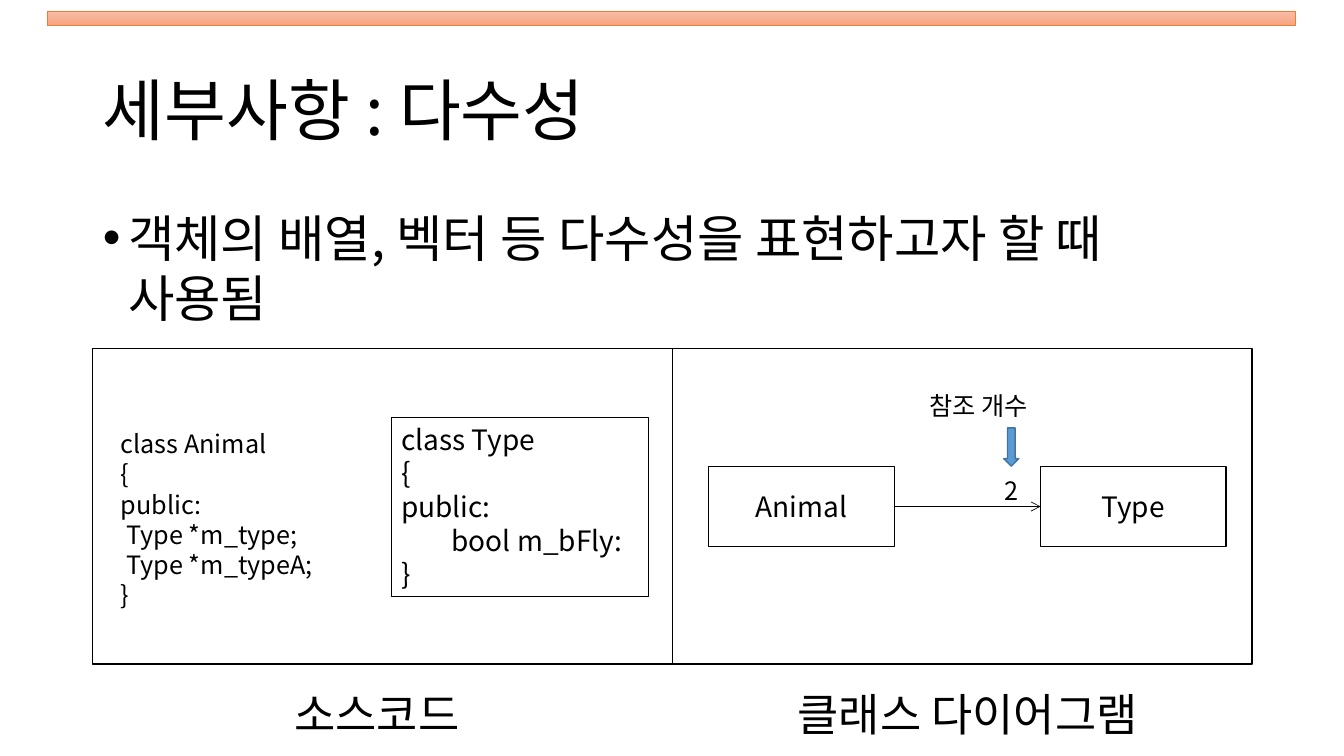
from dataclasses import dataclass

from lxml.etree import SubElement
from pptx import Presentation
from pptx.dml.color import RGBColor
from pptx.enum.shapes import MSO_CONNECTOR as CONNECTOR, MSO_SHAPE as SHAPE
from pptx.enum.text import MSO_ANCHOR as ANCHOR, MSO_AUTO_SIZE as AUTO_SIZE, PP_ALIGN as ALIGN
from pptx.oxml.ns import qn
from pptx.util import Inches, Pt


@dataclass(frozen=True)
class Theme:
    font: str = "Noto Sans CJK KR"
    black: RGBColor = RGBColor(0, 0, 0)
    white: RGBColor = RGBColor(255, 255, 255)
    orange: RGBColor = RGBColor(0xED, 0x7D, 0x31)
    bar_top: RGBColor = RGBColor(0xF7, 0xBD, 0xA5)
    bar_bottom: RGBColor = RGBColor(0xF8, 0xA5, 0x82)
    blue: RGBColor = RGBColor(0x5B, 0x9B, 0xD5)
    dark_blue: RGBColor = RGBColor(0x43, 0x73, 0x9E)
    title: int = 48
    body: int = 36
    caption: int = 32
    label: int = 20
    small: int = 18


THEME = Theme()


def place(shape, left, top, width, height):
    shape.left, shape.top = Inches(left), Inches(top)
    shape.width, shape.height = Inches(width), Inches(height)


def write(shape, text, size, align=ALIGN.LEFT, anchor=ANCHOR.TOP, auto_size=AUTO_SIZE.NONE, wrap=True):
    frame = shape.text_frame
    frame.text = text
    frame.word_wrap = wrap
    frame.auto_size = auto_size
    frame.vertical_anchor = anchor
    for paragraph in frame.paragraphs:
        paragraph.alignment = align
        for run in paragraph.runs:
            run.font.size = Pt(size)
            run.font.name = THEME.font
            run.font.color.rgb = THEME.black
            SubElement(run.font._element, qn("a:ea"), typeface=THEME.font)


def add_text(slide, box, text, size, align=ALIGN.LEFT, wrap=True):
    shape = slide.shapes.add_textbox(*map(Inches, box))
    write(shape, text, size, align, auto_size=AUTO_SIZE.SHAPE_TO_FIT_TEXT, wrap=wrap)
    return shape


def add_box(slide, box, fill=None, line=THEME.black, weight=1, kind=SHAPE.RECTANGLE):
    shape = slide.shapes.add_shape(kind, *map(Inches, box))
    shape.shadow.inherit = False
    if fill is None:
        shape.fill.background()
    else:
        shape.fill.solid()
        shape.fill.fore_color.rgb = fill
    shape.line.color.rgb = line
    shape.line.width = Pt(weight)
    return shape


def join(slide, start, start_site, end, end_site, arrow=False):
    connector = slide.shapes.add_connector(CONNECTOR.STRAIGHT, 0, 0, 0, 0)
    connector.begin_connect(start, start_site)
    connector.end_connect(end, end_site)
    connector.line.color.rgb = THEME.black
    connector.line.width = Pt(0.5)
    if arrow:
        SubElement(connector.line._get_or_add_ln(), qn("a:tailEnd"), type="arrow")
    SubElement(connector._element.spPr, qn("a:effectLst"))


def add_heading(slide, left, top, width):
    title = slide.shapes.title
    place(title, left, top, width, 1.45)
    write(title, "세부사항 : 다수성", THEME.title, anchor=ANCHOR.MIDDLE)
    title.text_frame.paragraphs[0].line_spacing = 0.9

    body = slide.placeholders[1]
    place(body, left, top + 1.6, width, 4.76)
    write(body, "객체의 배열, 벡터 등 다수성을 표현하고자 할 때 사용됨", THEME.body)
    paragraph = body.text_frame.paragraphs[0]
    paragraph.space_before = Pt(0)
    properties = paragraph._element.get_or_add_pPr()
    properties.set("marL", str(Inches(0.25)))
    properties.set("indent", str(-Inches(0.25)))
    SubElement(properties, qn("a:buFont"), typeface="Arial")
    SubElement(properties, qn("a:buChar"), char="•")


def add_top_bar(slide, box):
    bar = add_box(slide, box, line=THEME.orange, weight=0.5)
    bar.fill.gradient()
    bar.fill.gradient_angle = 270
    for stop, color, position in zip(bar.fill.gradient_stops, (THEME.bar_top, THEME.bar_bottom), (0, 1)):
        stop.color.rgb = color
        stop.position = position


def add_source_code(slide, left, top):
    animal_code = "class Animal\n{\npublic:\n Type *m_type;\n Type *m_typeA;\n}"
    add_text(slide, (left + 0.18, top + 0.74, 2.55, 1.92), animal_code, THEME.small)
    type_code = add_box(slide, (left + 2.96, top + 0.68, 2.55, 1.78), weight=0.75)
    write(type_code, "class Type\n{\npublic:\nbool m_bFly:\n}", THEME.label)
    type_code.text_frame.paragraphs[3].level = 1


def add_class_diagram(slide, left, top):
    classes = []
    for name, offset in (("Animal", 0.36), ("Type", 3.65)):
        shape = add_box(slide, (left + offset, top + 1.17, 1.84, 0.79), THEME.white)
        write(shape, name, THEME.label, ALIGN.CENTER, ANCHOR.MIDDLE)
        classes.append(shape)
    animal, type_class = classes
    join(slide, animal, 3, type_class, 1, arrow=True)
    add_text(slide, (left + 3.19, top + 1.21, 0.34, 0.4), "2", THEME.small, wrap=False)
    add_text(slide, (left + 2.45, top + 0.36, 1.82, 0.4), "참조 개수", THEME.small)
    pointer = add_box(slide, (left + 3.17, top + 0.9, 0.38, 0.15), THEME.blue,
                      THEME.dark_blue, kind=SHAPE.RIGHT_ARROW)
    pointer.rotation = 90


def add_comparison(slide, left, top, width, height):
    panel = add_box(slide, (left, top, width, height), THEME.white)
    middle = left + width / 2
    for caption, caption_left in (("소스코드", left + 0.79), ("클래스 다이어그램", middle + 0.9)):
        add_text(slide, (caption_left, top + height + 0.17, 4.06, 0.64), caption,
                 THEME.caption, ALIGN.CENTER)
    join(slide, panel, 0, panel, 2)
    add_source_code(slide, left, top)
    add_class_diagram(slide, middle, top)


def main():
    presentation = Presentation()
    presentation.slide_width, presentation.slide_height = Inches(13.33), Inches(7.5)
    slide = presentation.slides.add_slide(presentation.slide_layouts[1])
    add_heading(slide, 0.92, 0.4, 11.5)
    add_top_bar(slide, (0.47, 0.11, 12.38, 0.14))
    add_comparison(slide, 0.92, 3.46, 11.5, 3.13)
    presentation.save("out.pptx")


if __name__ == "__main__":
    main()
